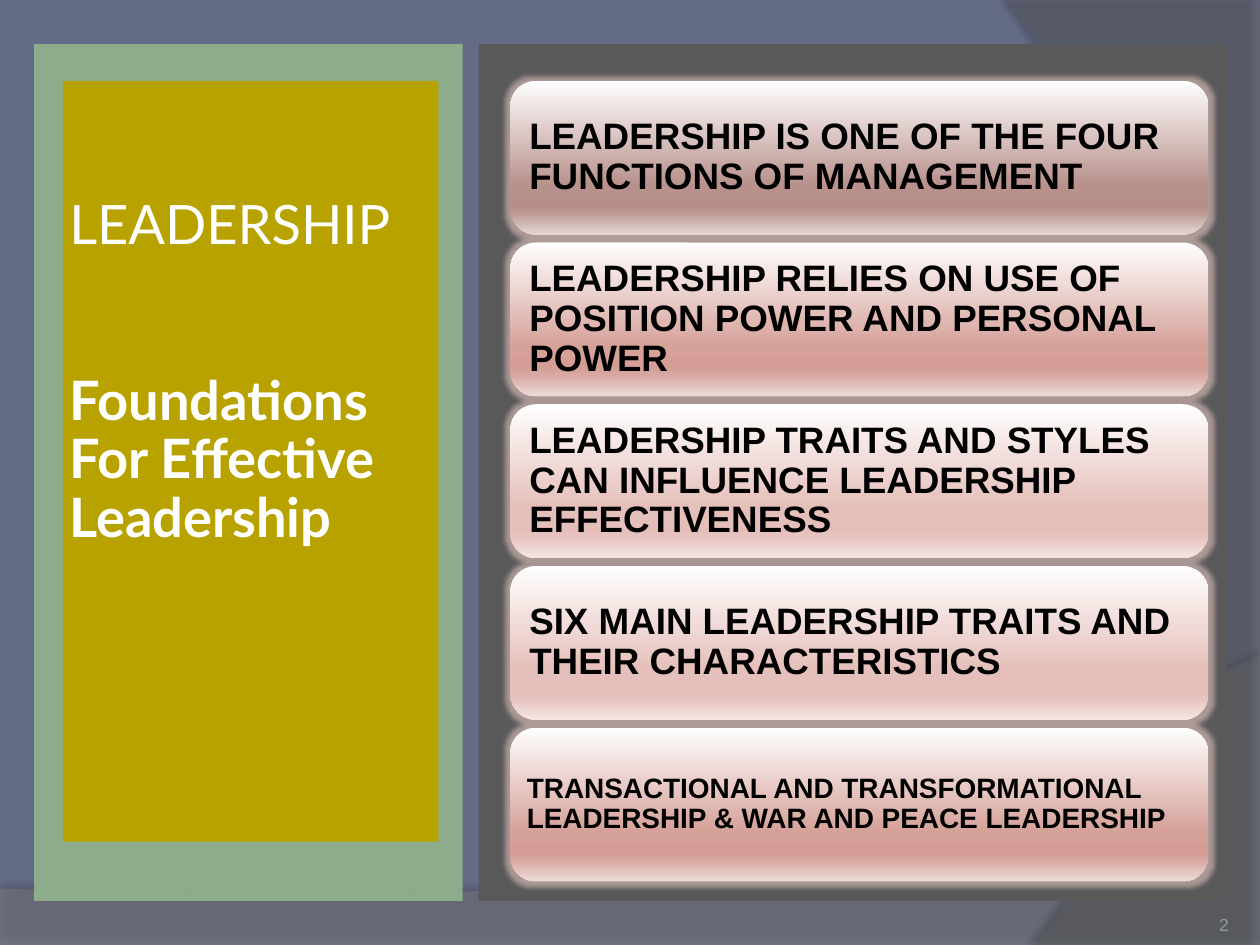
from lxml import etree
from pptx import Presentation
from pptx.dml.color import RGBColor
from pptx.enum.shapes import MSO_SHAPE
from pptx.enum.text import MSO_ANCHOR, PP_ALIGN
from pptx.oxml.ns import qn
from pptx.util import Cm, Pt

RECTANGLE = MSO_SHAPE.RECTANGLE
ROUNDED = MSO_SHAPE.ROUNDED_RECTANGLE
MIDDLE, BOTTOM = MSO_ANCHOR.MIDDLE, MSO_ANCHOR.BOTTOM
LEFT, RIGHT = PP_ALIGN.LEFT, PP_ALIGN.RIGHT

SLATE = RGBColor(0x64, 0x6B, 0x86)
WAVE_GRAY = RGBColor(0x7F, 0x7F, 0x7F)
EDGE_GRAY = RGBColor(0x5E, 0x5E, 0x5E)
SAGE = RGBColor(0x8F, 0xB0, 0x8C)
OLIVE = RGBColor(0xB8, 0xA2, 0x00)
CHARCOAL = RGBColor(0x59, 0x59, 0x59)
WHITE = RGBColor(0xFF, 0xFF, 0xFF)
BLACK = RGBColor(0x00, 0x00, 0x00)
NUMBER_GRAY = RGBColor(0x92, 0x9B, 0x9F)
GLOW = RGBColor(0xE2, 0xC4, 0xC0)

STOPS = (0, 68, 81, 86, 100)
BROWN = ("FEFEFE", "B8918C", "B68D87", "BD9A95", "E2D6D5")
ROSE = ("FFFEFE", "D5A199", "D49D95", "D8A7A1", "EDDBD8")
BLUSH = ("FFFEFE", "E5BFBA", "E4BDB8", "E7C3BF", "F4E5E3")

CARDS = (
    ("LEADERSHIP IS ONE OF THE FOUR FUNCTIONS OF MANAGEMENT", BROWN, 21, 0.23),
    ("LEADERSHIP RELIES ON USE OF POSITION POWER AND PERSONAL POWER", ROSE, 21, 0.23),
    ("LEADERSHIP TRAITS AND STYLES CAN INFLUENCE LEADERSHIP EFFECTIVENESS", BLUSH, 21, 0.23),
    ("SIX MAIN LEADERSHIP TRAITS AND THEIR CHARACTERISTICS", BLUSH, 21, 0.23),
    ("TRANSACTIONAL AND TRANSFORMATIONAL LEADERSHIP & WAR AND PEACE LEADERSHIP", ROSE, 16, 0.18),
)
CARD_TOP, CARD_PITCH = 1.63, 3.26


def curve(start, control_1, control_2, end, steps=40):
    points = []
    for step in range(steps + 1):
        t = step / steps
        weights = ((1 - t) ** 3, 3 * t * (1 - t) ** 2, 3 * t * t * (1 - t), t ** 3)
        corners = (start, control_1, control_2, end)
        points.append(tuple(
            sum(weight * corner[axis] for weight, corner in zip(weights, corners))
            for axis in (0, 1)
        ))
    return points


class SlideBuilder:
    heading_font = "Lato"
    body_font = "Arial"
    line_spacing = 0.9

    def __init__(self, presentation):
        self.slide = presentation.slides.add_slide(presentation.slide_layouts[6])

    def background(self, color):
        fill = self.slide.background.fill
        fill.solid()
        fill.fore_color.rgb = color

    def add_color(self, parent, color, opacity=100):
        element = etree.SubElement(parent, qn("a:srgbClr"), val=str(color))
        if opacity < 100:
            etree.SubElement(element, qn("a:alpha"), val=str(opacity * 1000))

    def add_effect(self, shape, tag, color, opacity, **attributes):
        effects = shape._element.spPr.find(qn("a:effectLst"))
        effect = etree.SubElement(effects, qn(tag), **attributes)
        self.add_color(effect, color, opacity)

    def paint(self, shape, color, opacity=100):
        shape.shadow.inherit = False
        shape.line.fill.background()
        shape.fill.solid()
        shape.fill.fore_color.rgb = color
        if opacity < 100:
            element = shape._element.spPr.find(qn("a:solidFill"))[0]
            etree.SubElement(element, qn("a:alpha"), val=str(opacity * 1000))

    def outline(self, points, color, opacity, shadow_opacity, distance, degrees):
        points = [(Cm(x), Cm(y)) for x, y in points]
        builder = self.slide.shapes.build_freeform(*points[0])
        builder.add_line_segments(points[1:], close=True)
        shape = builder.convert_to_shape()
        self.paint(shape, color, opacity)
        self.add_effect(shape, "a:outerShdw", BLACK, shadow_opacity, blurRad=str(Pt(4)),
                        dist=str(Pt(distance)), dir=str(degrees * 60000))

    def panel(self, left, top, width, height, color, opacity=100, kind=RECTANGLE):
        shape = self.slide.shapes.add_shape(kind, Cm(left), Cm(top), Cm(width), Cm(height))
        self.paint(shape, color, opacity)
        return shape

    def frame(self, shape, inset, anchor=MIDDLE):
        frame = shape.text_frame
        frame.word_wrap = True
        frame.vertical_anchor = anchor
        frame.margin_left = frame.margin_right = Cm(inset)
        frame.margin_top = frame.margin_bottom = Cm(inset)
        return frame

    def run(self, paragraph, text, font, size, color, bold=False, align=LEFT):
        paragraph.alignment = align
        paragraph.line_spacing = self.line_spacing
        run = paragraph.add_run()
        run.text = text
        run.font.name = font
        run.font.size = Pt(size)
        run.font.bold = bold
        run.font.color.rgb = color

    def title(self, heading, subtitle):
        frame = self.frame(self.panel(1.27, 1.63, 7.57, 15.34, OLIVE), 0.13)
        frame.margin_bottom = Cm(3.68)
        self.run(frame.paragraphs[0], heading, self.heading_font, 31, WHITE)
        paragraph = frame.add_paragraph()
        paragraph.space_before = Pt(67)
        self.run(paragraph, subtitle, self.heading_font, 31, WHITE, bold=True)

    def card(self, top, text, colors, size, inset):
        shape = self.panel(10.29, top, 14.07, 3.1, WHITE, kind=ROUNDED)
        properties = shape._element.spPr
        gradient = etree.Element(qn("a:gradFill"), rotWithShape="1")
        stops = etree.SubElement(gradient, qn("a:gsLst"))
        for position, color in zip(STOPS, colors):
            stop = etree.SubElement(stops, qn("a:gs"), pos=str(position * 1000))
            self.add_color(stop, color)
        etree.SubElement(gradient, qn("a:lin"), ang="5400000", scaled="0")
        properties.replace(properties.find(qn("a:solidFill")), gradient)
        self.add_effect(shape, "a:glow", GLOW, 60, rad=str(Pt(5)))
        frame = self.frame(shape, inset)
        self.run(frame.paragraphs[0], text, self.body_font, size, BLACK, bold=True)

    def page_number(self, text):
        box = self.slide.shapes.add_textbox(Cm(22.66), Cm(17.83), Cm(2.11), Cm(1.02))
        frame = self.frame(box, 0, BOTTOM)
        self.run(frame.paragraphs[0], text, self.body_font, 10, NUMBER_GRAY, align=RIGHT)


def main():
    presentation = Presentation()
    presentation.slide_width = Cm(25.4)
    presentation.slide_height = Cm(19.05)
    builder = SlideBuilder(presentation)
    builder.background(SLATE)
    wave = curve((25.4, 13.21), (14.2, 18.52), (9.93, 18.26), (0, 17.91))
    builder.outline([(0, 19.05), (25.4, 19.05)] + wave, WAVE_GRAY, 45, 35, 3.5, 270)
    edge = curve((20.85, 19.05), (23.75, 15.72), (25.86, 7.62), (20.32, 0))
    builder.outline([(25.4, 0), (25.4, 19.05)] + edge, EDGE_GRAY, 40, 45, 4, 180)
    builder.panel(0.69, 0.89, 8.64, 17.27, SAGE, 95)
    builder.title("LEADERSHIP", "Foundations For Effective Leadership")
    builder.panel(9.65, 0.89, 15.09, 17.27, CHARCOAL)
    for index, card in enumerate(CARDS):
        builder.card(CARD_TOP + index * CARD_PITCH, *card)
    builder.page_number("2")
    presentation.save("out.pptx")


if __name__ == "__main__":
    main()
